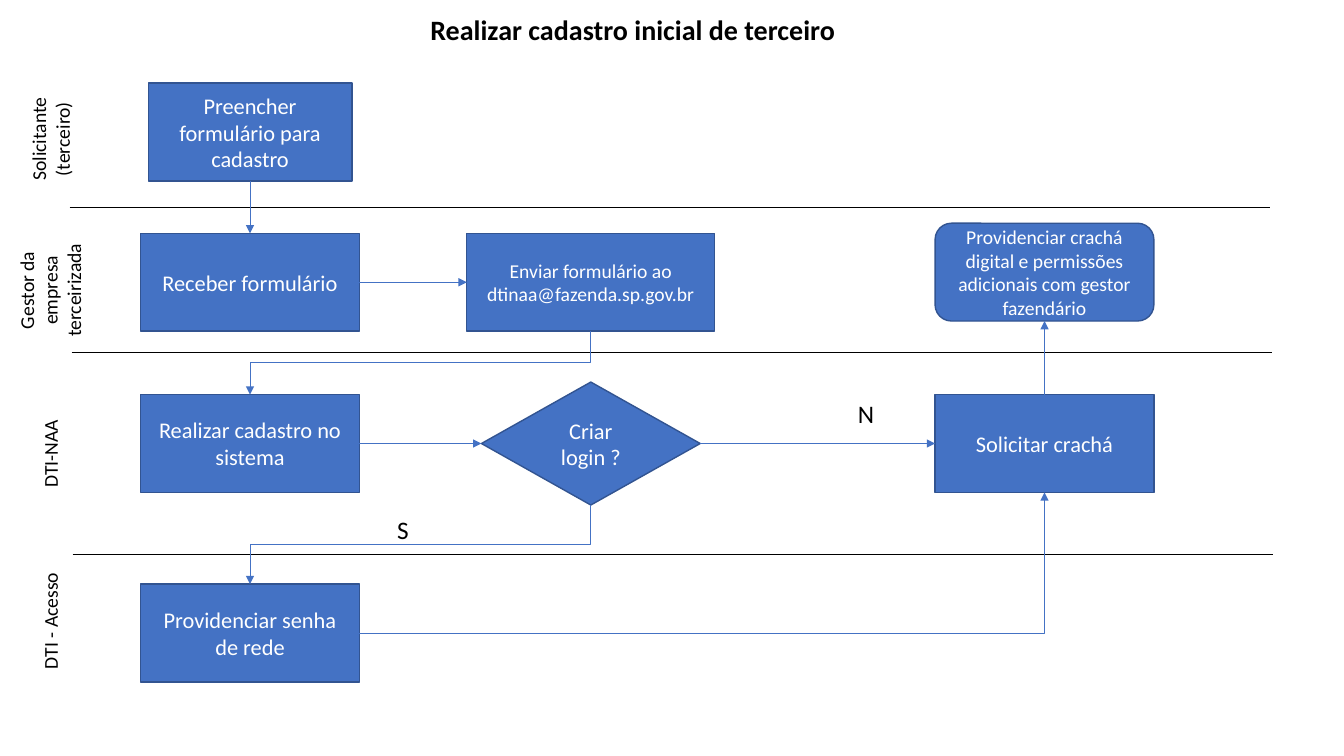
"""Build the swimlane flow for the first registration of a third party."""
from pptx import Presentation
from pptx.dml.color import RGBColor
from pptx.enum.shapes import MSO_CONNECTOR, MSO_SHAPE
from pptx.enum.text import MSO_ANCHOR, PP_ALIGN
from pptx.oxml.ns import qn
from pptx.util import Inches, Pt
from lxml import etree

RECT, ROUND = MSO_SHAPE.RECTANGLE, MSO_SHAPE.ROUNDED_RECTANGLE
DIAMOND = MSO_SHAPE.FLOWCHART_DECISION
STRAIGHT, ELBOW = MSO_CONNECTOR.STRAIGHT, MSO_CONNECTOR.ELBOW
LEFT, CENTER, MIDDLE = PP_ALIGN.LEFT, PP_ALIGN.CENTER, MSO_ANCHOR.MIDDLE
BLUE, EDGE = RGBColor(0x44, 0x72, 0xC4), RGBColor(0x32, 0x54, 0x91)
BLACK, WHITE = RGBColor(0, 0, 0), RGBColor(0xFF, 0xFF, 0xFF)
FONT = "Calibri"
TOP, WEST, BOTTOM, EAST = range(4)

WIDE, HIGH = 13.33, 7.5
COLS = (2.48, 5.86, 10.36)
ROWS = (1.31, 2.8, 4.4, 6.28)
BOX_W, BOX_H = 2.17, 0.97
LANE_X, LANE_W = 0.5, 11.91

TITLE = "Realizar cadastro inicial de terceiro"
LANES = [
    (["Solicitante", "(terceiro)"], 1.38, 1.08, 0.57, False),
    (["Gestor da empresa", "terceirizada"], 2.88, 1.68, 0.81, True),
    (["DTI-NAA"], 4.5, 0.88, 0.34, False),
    (["DTI - Acesso"], 6.16, 1.17, 0.34, False),
]
RULES = [(0.69, 2.06), (0.71, 3.5), (0.72, 5.5)]
STEPS = {
    "fill": (["Preencher formulário para", "cadastro"], 0, 0, RECT, 2.02, BOX_H, 16),
    "get": (["Receber formulário"], 0, 1, RECT, BOX_W, BOX_H, 16),
    "send": (["Enviar formulário ao dtinaa@fazenda.sp.gov.br"], 1, 1, RECT, 2.46, BOX_H, 14),
    "enter": (["Realizar cadastro no sistema"], 0, 2, RECT, BOX_W, BOX_H, 16),
    "login": (["Criar login ?"], 1, 2, DIAMOND, BOX_W, 1.22, 16),
    "badge": (["Solicitar crachá"], 2, 2, RECT, BOX_W, BOX_H, 16),
    "pass": (["Providenciar senha de rede"], 0, 3, RECT, BOX_W, BOX_H, 16),
    "grant": (["Providenciar crachá digital e permissões adicionais com gestor fazendário"],
              2, 1, ROUND, BOX_W, BOX_H, 14),
}
LIFT = {"grant": 0.1}
LINKS = [
    ("fill", BOTTOM, "get", TOP),
    ("get", EAST, "send", WEST),
    ("send", BOTTOM, "enter", TOP),
    ("enter", EAST, "login", WEST),
    ("login", EAST, "badge", WEST),
    ("login", BOTTOM, "pass", TOP),
    ("pass", EAST, "badge", BOTTOM),
    ("badge", TOP, "grant", BOTTOM),
]
MARKS = [("S", 4.0, 5.25, 0.32), ("N", 8.59, 4.1, 0.36)]


def write(shape, lines, size, color, align=CENTER, bold=False, wrap=True):
    frame = shape.text_frame
    frame.word_wrap = wrap
    for i, line in enumerate(lines):
        para = frame.add_paragraph() if i else frame.paragraphs[0]
        para.alignment = align
        run = para.add_run()
        run.text = line
        font = run.font
        font.name, font.size, font.bold = FONT, Pt(size), bold
        font.color.rgb = color


def frame_at(x, y, w, h):
    return [Inches(v) for v in (x - w / 2, y - h / 2, w, h)]


def add_line(slide, kind, ends, color):
    line = slide.shapes.add_connector(kind, *ends)
    line.line.color.rgb = color
    line.line.width = Pt(0.5)
    etree.SubElement(line._element.spPr, qn("a:effectLst"))
    return line


def add_step(slide, name):
    lines, col, row, kind, w, h, size = STEPS[name]
    y = ROWS[row] - LIFT.get(name, 0)
    shape = slide.shapes.add_shape(kind, *frame_at(COLS[col], y, w, h))
    shape.shadow.inherit = False
    shape.fill.solid()
    shape.fill.fore_color.rgb = BLUE
    shape.line.color.rgb = EDGE
    shape.line.width = Pt(1)
    shape.text_frame.vertical_anchor = MIDDLE
    write(shape, lines, size, WHITE)
    return shape


def turn(line):
    """Make an elbow leave downward instead of sideways."""
    x, y, w, h = line.left, line.top, line.width, line.height
    line.left, line.top = x + (w - h) // 2, y + (h - w) // 2
    line.width, line.height = h, w
    xfrm = line._element.spPr.find(qn("a:xfrm"))
    xfrm.attrib.pop("flipH", None)
    xfrm.set("rot", "5400000")


def add_link(slide, start, out, end, into):
    facing = (out - into) % 2 == 0
    kind = ELBOW
    if facing:
        axis = 1 if out in (TOP, BOTTOM) else 2
        same = STEPS["fill"] and None
        kind = STRAIGHT if start[axis] == end[axis] else ELBOW
    line = add_line(slide, kind, (0, 0, 0, 0), BLUE)
    line.begin_connect(start[0], out)
    line.end_connect(end[0], into)
    if kind == ELBOW and facing:
        turn(line)
    elif kind == ELBOW:
        line._element.spPr.find(qn("a:prstGeom")).set("prst", "bentConnector2")
    tip = etree.SubElement(line.line._get_or_add_ln(), qn("a:tailEnd"))
    tip.set("type", "triangle")


def main():
    deck = Presentation()
    deck.slide_width, deck.slide_height = Inches(WIDE), Inches(HIGH)
    slide = deck.slides.add_slide(deck.slide_layouts[6])
    for x, y in RULES:
        ends = [Inches(v) for v in (x, y, x + LANE_W, y)]
        add_line(slide, STRAIGHT, ends, BLACK)
    for lines, y, w, h, wrap in LANES:
        label = slide.shapes.add_textbox(*frame_at(LANE_X, y, w, h))
        label.rotation = 270
        write(label, lines, 14, BLACK, wrap=wrap)
    steps = {name: (add_step(slide, name), *STEPS[name][1:3]) for name in STEPS}
    for start, out, end, into in LINKS:
        add_link(slide, steps[start], out, steps[end], into)
    for text, x, y, w in MARKS:
        mark = slide.shapes.add_textbox(*frame_at(x, y, w, 0.4))
        write(mark, [text], 18, BLACK, LEFT, wrap=False)
    title = slide.shapes.add_textbox(*frame_at(6.29, 0.29, 4.24, 0.44))
    write(title, [TITLE], 20, BLACK, LEFT, bold=True)
    deck.save("out.pptx")


if __name__ == "__main__":
    main()
